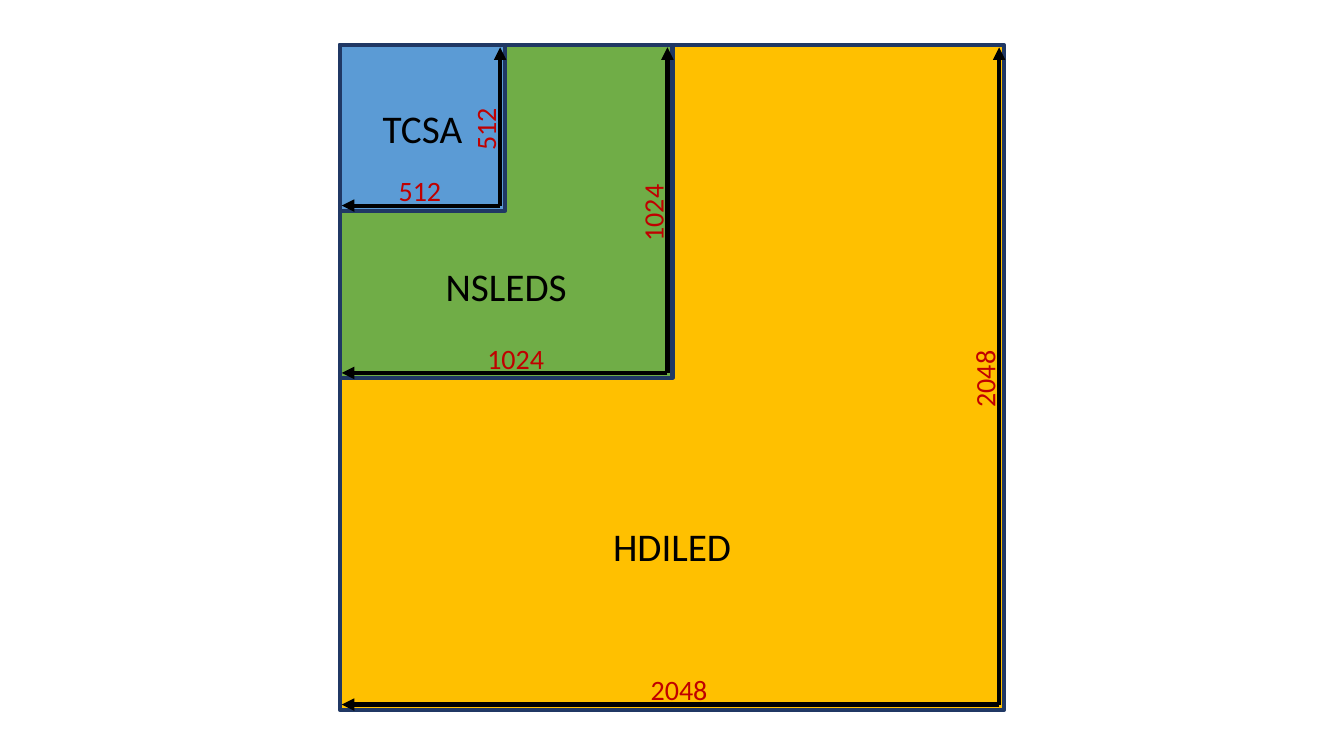
from lxml import etree
from pptx import Presentation
from pptx.dml.color import RGBColor
from pptx.enum.shapes import MSO_CONNECTOR, MSO_SHAPE
from pptx.enum.text import MSO_ANCHOR, MSO_AUTO_SIZE, PP_ALIGN
from pptx.oxml.ns import qn
from pptx.util import Inches, Pt

RECTANGLE = MSO_SHAPE.RECTANGLE
STRAIGHT = MSO_CONNECTOR.STRAIGHT
MIDDLE = MSO_ANCHOR.MIDDLE
CENTER = PP_ALIGN.CENTER
GROW = MSO_AUTO_SIZE.SHAPE_TO_FIT_TEXT

LEFT, TOP = 3.37, 0.45
ARROW_INSET = 0.05
TIP_INSET = 0.02
LABEL_OFFSET = 0.145
LABEL_HEIGHT = 0.44

# name, fill, side, name drop, pixels, label width, bottom label centre
SQUARES = [
    ("HDILED", "FFC000", 6.59, 1.67, "2048", 0.77, 6.74),
    ("NSLEDS", "70AD47", 3.30, 0.74, "1024", 0.77, 5.12),
    ("TCSA", "5B9BD5", 1.64, 0, "512", 0.63, 4.17),
]


def color(hex_code):
    """Return the colour for a hex string."""
    return RGBColor.from_string(hex_code)


def add_text(paragraph, text, size, hex_code):
    """Add one formatted run to a paragraph."""
    run = paragraph.add_run()
    run.text = text
    run.font.name = "Calibri"
    run.font.size = Pt(size)
    run.font.color.rgb = color(hex_code)


def add_square(slide, name, fill, side, name_drop):
    """Add a named square, its name lowered from the centre by name_drop."""
    square = slide.shapes.add_shape(
        RECTANGLE, Inches(LEFT), Inches(TOP), Inches(side), Inches(side))
    square.shadow.inherit = False
    square.fill.solid()
    square.fill.fore_color.rgb = color(fill)
    square.line.color.rgb = color("203864")
    square.line.width = Pt(3)
    frame = square.text_frame
    frame.vertical_anchor = MIDDLE
    frame.margin_top = Inches(0.05 + 2 * name_drop)
    frame.paragraphs[0].alignment = CENTER
    add_text(frame.paragraphs[0], name, 28, "000000")


def add_arrow(slide, start_x, start_y, tip_x, tip_y):
    """Add a black arrow with a triangle at its tip."""
    arrow = slide.shapes.add_connector(
        STRAIGHT, Inches(start_x), Inches(start_y), Inches(tip_x), Inches(tip_y))
    arrow.line.color.rgb = color("000000")
    arrow.line.width = Pt(3)
    etree.SubElement(arrow.line._get_or_add_ln(), qn("a:tailEnd"), type="triangle")
    etree.SubElement(arrow._element.spPr, qn("a:effectLst"))


def add_label(slide, text, center_x, center_y, width, rotation=0):
    """Add a red pixel count centred on a point."""
    label = slide.shapes.add_textbox(
        Inches(center_x - width / 2), Inches(center_y - LABEL_HEIGHT / 2),
        Inches(width), Inches(LABEL_HEIGHT))
    label.rotation = rotation
    label.text_frame.word_wrap = False
    label.text_frame.auto_size = GROW
    add_text(label.text_frame.paragraphs[0], text, 20, "C00000")


def add_dimensions(slide, side, pixels, width, bottom_center):
    """Add the arrows and pixel counts along the right and bottom edges."""
    right = LEFT + side - ARROW_INSET
    bottom = TOP + side - ARROW_INSET
    add_arrow(slide, right, bottom, right, TOP + TIP_INSET)
    add_arrow(slide, right, bottom, LEFT + TIP_INSET, bottom)
    add_label(slide, pixels, right - LABEL_OFFSET, TOP + side / 2 + 0.01, width, 270)
    add_label(slide, pixels, bottom_center, bottom - LABEL_OFFSET, width)


def main():
    """Build the slide of nested squares and save it."""
    deck = Presentation()
    deck.slide_width = Inches(13.33)
    deck.slide_height = Inches(7.5)
    slide = deck.slides.add_slide(deck.slide_layouts[6])
    for name, fill, side, name_drop, pixels, width, bottom_center in SQUARES:
        add_square(slide, name, fill, side, name_drop)
        add_dimensions(slide, side, pixels, width, bottom_center)
    deck.save("out.pptx")


main()
